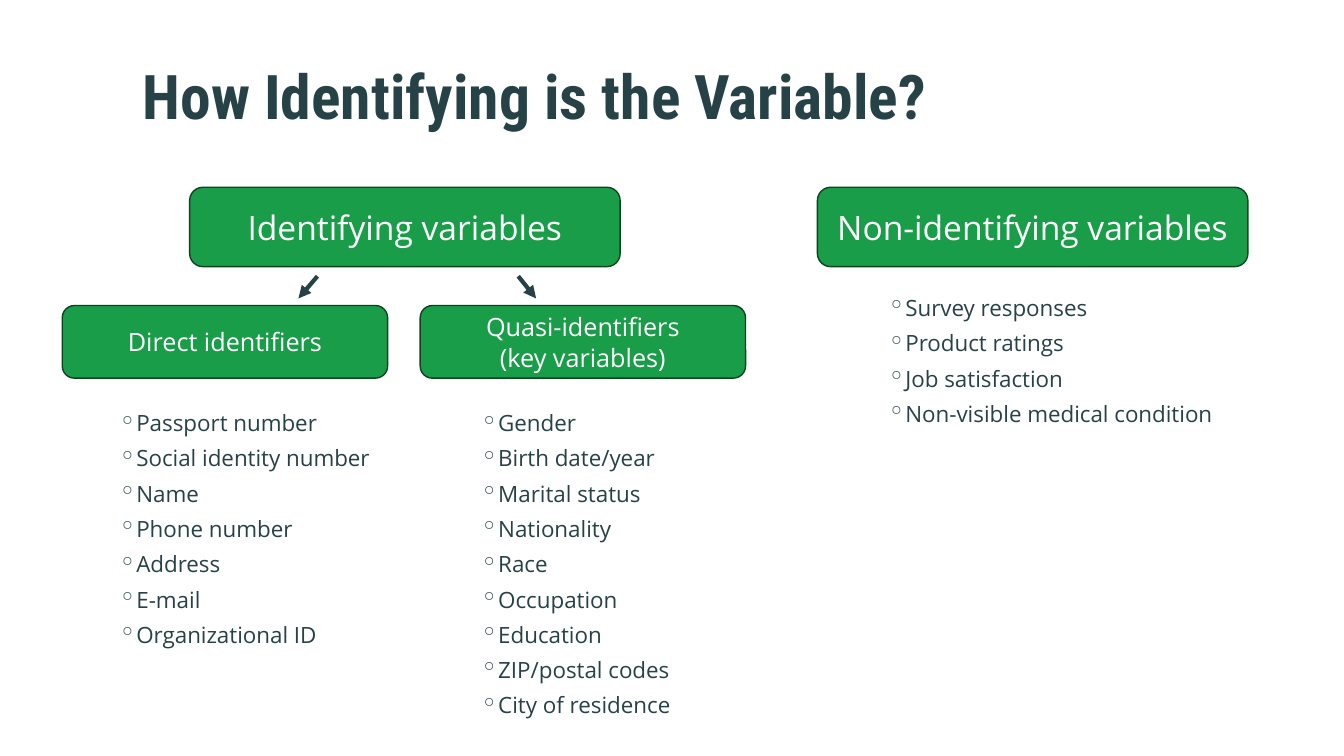
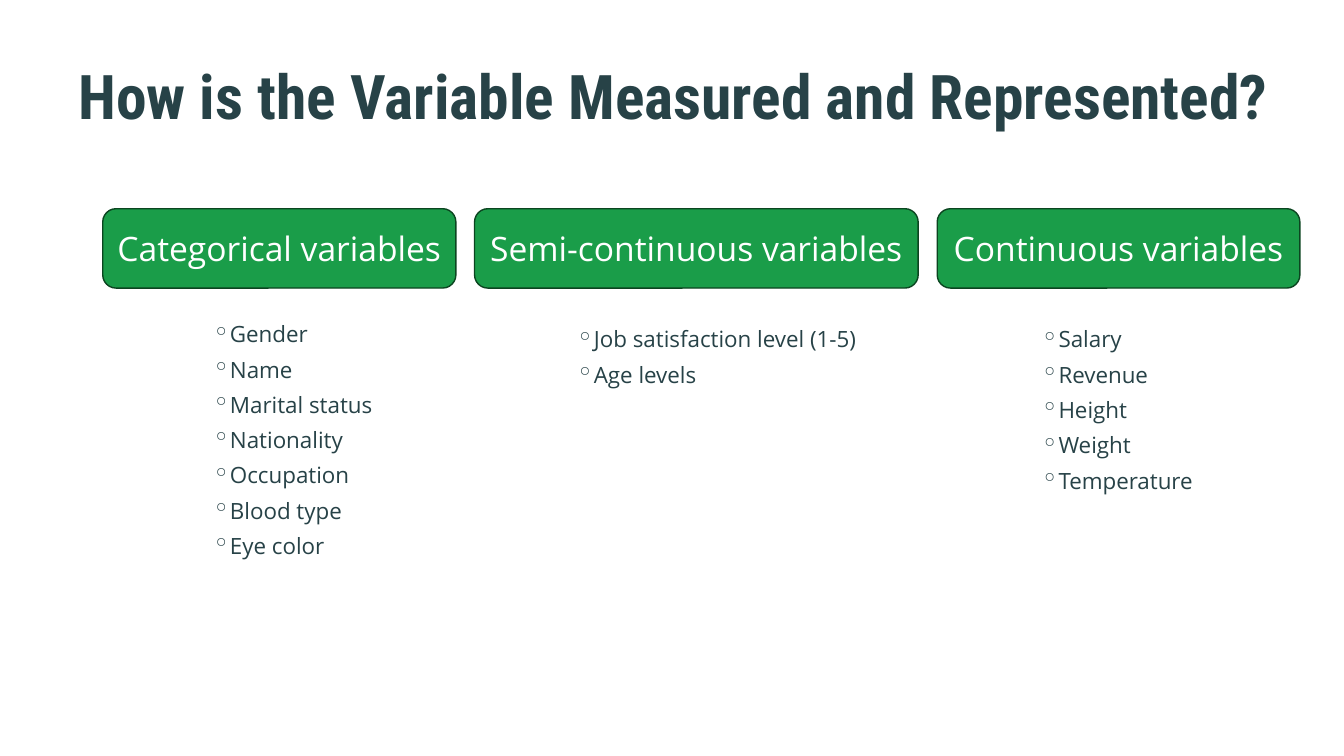
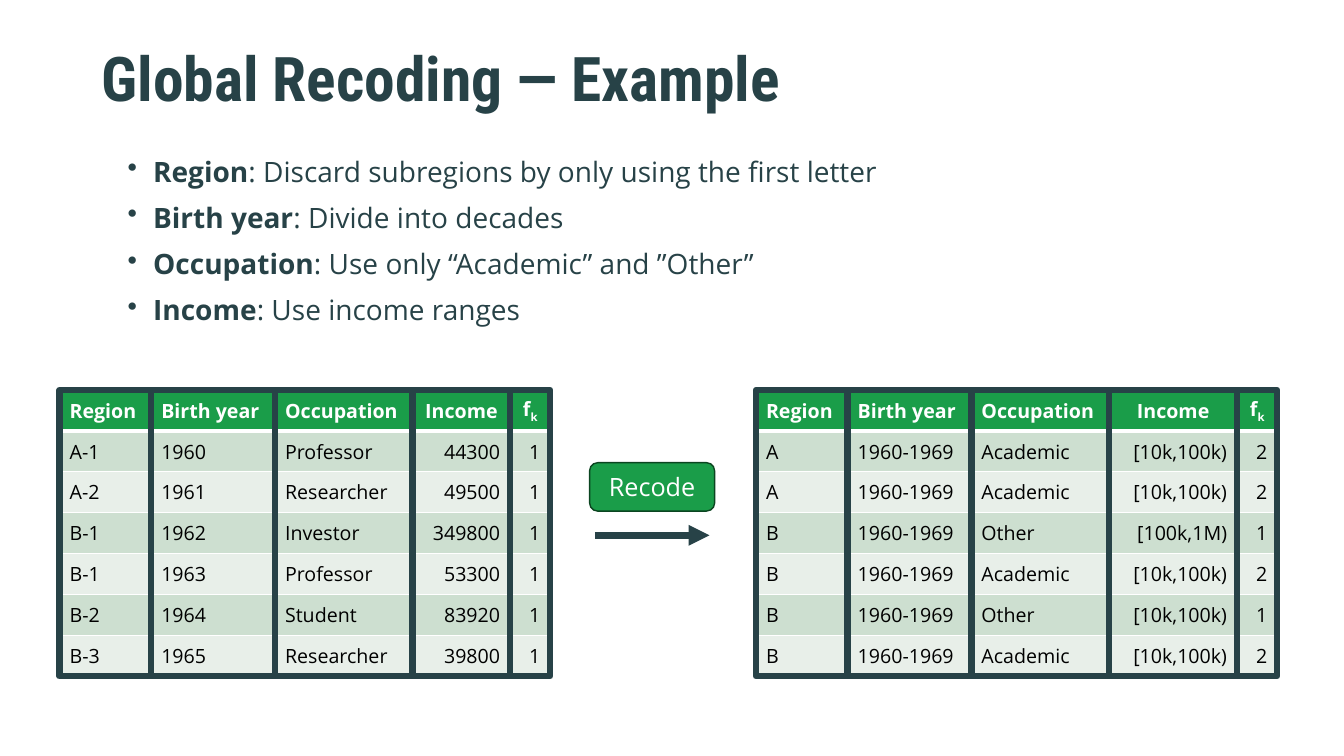
"""Build three slides on classifying variables and on global recoding."""
from dataclasses import dataclass
from lxml.etree import SubElement
from pptx import Presentation
from pptx.dml.color import RGBColor
from pptx.enum.shapes import MSO_CONNECTOR, MSO_SHAPE
from pptx.enum.text import MSO_ANCHOR, PP_ALIGN
from pptx.oxml.ns import qn
from pptx.util import Cm, Pt


@dataclass(frozen=True)
class Theme:
    ink: str = "274247"
    green: str = "1A9D49"
    edge: str = "0B4520"
    white: str = "FFFFFF"
    black: str = "000000"
    bands: tuple = ("E8EFE9", "CDDFD0")
    head_font: str = "Roboto Condensed"
    body_font: str = "Open Sans"
    title: int = 44
    heading: int = 24
    body: int = 20
    label: int = 18
    item: int = 16
    cell: int = 14


T = Theme()
TITLE = {"line_spacing": 0.9}
CENTER = {"alignment": PP_ALIGN.CENTER}
ITEM = {"space_after": Pt(6), "level": 1}
POINT = {"space_after": Pt(9)}
TITLE_FRAME = {"vertical_anchor": MSO_ANCHOR.MIDDLE, "margin_top": 0}


def write(tf, paras, size, color, para_fmt, bullet=None, name=T.body_font, bold=False):
    for i, runs in enumerate(paras):
        p = tf.paragraphs[0] if i == 0 else tf.add_paragraph()
        if bullet:
            char, left, hang = bullet
            pPr = p._p.get_or_add_pPr()
            pPr.set("marL", str(Cm(left)))
            pPr.set("indent", str(-Cm(hang)))
            SubElement(pPr, qn("a:buChar"), char=char)
        for key, value in para_fmt.items():
            setattr(p, key, value)
        for text, strong in [(runs, bold)] if isinstance(runs, str) else runs:
            r = p.add_run()
            r.text = text
            for key, value in {"name": name, "size": Pt(size), "bold": strong}.items():
                setattr(r.font, key, value)
            r.font.color.rgb = RGBColor.from_string(color)


def add_arrow(s, start, end, width):
    c = s.shapes.add_connector(MSO_CONNECTOR.STRAIGHT, *map(Cm, start + end))
    c.line.width = Pt(width)
    c.line.color.rgb = RGBColor.from_string(T.ink)
    spPr = c._element.spPr
    SubElement(spPr.find(qn("a:ln")), qn("a:tailEnd"), type="triangle")
    SubElement(spPr, qn("a:effectLst"))


prs = Presentation()
prs.slide_width, prs.slide_height = Cm(33.87), Cm(19.05)

titles = [
    ("How Identifying is the Variable?", (3.35, 0.76, 26.82, 3.63)),
    ("How is the Variable Measured and Represented?", (1.73, 0.76, 31.39, 3.63)),
    ("Global Recoding — Example", (2.31, 1.04, 27.58, 2.18)),
]
slides = []
for title, at in titles:
    s = prs.slides.add_slide(prs.slide_layouts[6])
    tf = s.shapes.add_textbox(*map(Cm, at)).text_frame
    tf.word_wrap = True
    for key, value in TITLE_FRAME.items():
        setattr(tf, key, value)
    write(tf, [title], T.title, T.ink, TITLE, name=T.head_font, bold=True)
    slides.append(s)
identifying, measured, recoding = slides

boxes = [
    (identifying, ["Identifying variables"], (4.78, 4.72, 10.85, 2), T.heading),
    (identifying, ["Non-identifying variables"], (20.6, 4.72, 10.85, 2), T.heading),
    (identifying, ["Direct identifiers"], (1.57, 7.7, 8.2, 1.83), T.label),
    (identifying, ["Quasi-identifiers", "(key variables)"], (10.59, 7.7, 8.2, 1.83), T.label),
    (measured, ["Categorical variables"], (2.59, 5.26, 8.9, 2), T.heading),
    (measured, ["Semi-continuous variables"], (11.96, 5.26, 11.18, 2), T.heading),
    (measured, ["Continuous variables"], (23.62, 5.26, 9.14, 2), T.heading),
    (recoding, ["Recode"], (14.86, 11.66, 3.15, 1.22), T.label),
]
for s, paras, at, size in boxes:
    sp = s.shapes.add_shape(MSO_SHAPE.ROUNDED_RECTANGLE, *map(Cm, at))
    sp.shadow.inherit = False
    sp.fill.solid()
    sp.fill.fore_color.rgb = RGBColor.from_string(T.green)
    sp.line.color.rgb = RGBColor.from_string(T.edge)
    sp.line.width = Pt(1)
    tf = sp.text_frame
    tf.word_wrap = True
    tf.vertical_anchor = MSO_ANCHOR.MIDDLE
    write(tf, paras, size, T.white, CENTER)

lists = [
    (identifying, (2.06, 10.19, 7.72, 7.39), [
        "Passport number", "Social identity number", "Name", "Phone number",
        "Address", "E-mail", "Organizational ID"]),
    (identifying, (11.18, 10.19, 7.06, 8.8), [
        "Gender", "Birth date/year", "Marital status", "Nationality", "Race",
        "Occupation", "Education", "ZIP/postal codes", "City of residence"]),
    (identifying, (21.44, 7.29, 9.55, 3.48), [
        "Survey responses", "Product ratings", "Job satisfaction",
        "Non-visible medical condition"]),
    (measured, (4.42, 7.95, 5.23, 6.1), [
        "Gender", "Name", "Marital status", "Nationality", "Occupation",
        "Blood type", "Eye color"]),
    (measured, (13.59, 8.08, 8.43, 6.1), ["Job satisfaction level (1-5)", "Age levels"]),
    (measured, (25.3, 8.08, 5.23, 6.1), [
        "Salary", "Revenue", "Height", "Weight", "Temperature"]),
]
for s, at, items in lists:
    tf = s.shapes.add_textbox(*map(Cm, at)).text_frame
    tf.word_wrap = True
    write(tf, items, T.item, T.ink, ITEM, bullet=("◦", 1.09, 0.41))

rules = [
    ("Region", ": Discard subregions by only using the first letter"),
    ("Birth year", ": Divide into decades"),
    ("Occupation", ": Use only “Academic” and ”Other”"),
    ("Income", ": Use income ranges"),
]
tf = recoding.shapes.add_textbox(Cm(2.97), Cm(3.76), Cm(28.45), Cm(5.77)).text_frame
tf.word_wrap = True
write(tf, [[(lead, True), (rest, False)] for lead, rest in rules],
      T.body, T.ink, POINT, bullet=("•", 0.64, 0.64))

add_arrow(identifying, (8, 6.96), (7.52, 7.52), 3)
add_arrow(identifying, (13.06, 6.96), (13.51, 7.52), 3)
add_arrow(recoding, (14.99, 13.49), (17.88, 13.49), 5)

header = ["Region", "Birth year", "Occupation", "Income", [("f", True), ("k", True)]]
head_aligns = [PP_ALIGN.LEFT] * 3 + [PP_ALIGN.CENTER] * 2
aligns = [PP_ALIGN.LEFT] * 3 + [PP_ALIGN.RIGHT] * 2
top, row_height = 9.83, 1.03
tables = [
    (1.5, 2.46, [
        ("A-1", "1960", "Professor", "44300", "1"),
        ("A-2", "1961", "Researcher", "49500", "1"),
        ("B-1", "1962", "Investor", "349800", "1"),
        ("B-1", "1963", "Professor", "53300", "1"),
        ("B-2", "1964", "Student", "83920", "1"),
        ("B-3", "1965", "Researcher", "39800", "1")]),
    (19.05, 3.23, [
        ("A", "1960-1969", "Academic", "[10k,100k)", "2"),
        ("A", "1960-1969", "Academic", "[10k,100k)", "2"),
        ("B", "1960-1969", "Other", "[100k,1M)", "1"),
        ("B", "1960-1969", "Academic", "[10k,100k)", "2"),
        ("B", "1960-1969", "Other", "[10k,100k)", "1"),
        ("B", "1960-1969", "Academic", "[10k,100k)", "2")]),
]
for left, income_width, records in tables:
    widths = [2.31, 3.12, 3.47, income_width, 1.01]
    rows = [header] + records
    height = row_height * len(rows)
    tbl = recoding.shapes.add_table(
        len(rows), len(widths), Cm(left), Cm(top), Cm(sum(widths)), Cm(height)).table
    for row in tbl.rows:
        row.height = Cm(row_height)
    for i, row in enumerate(rows):
        for j, value in enumerate(row):
            cell = tbl.cell(i, j)
            cell.vertical_anchor = MSO_ANCHOR.MIDDLE
            tcPr = cell._tc.get_or_add_tcPr()
            for side in "LRTB":
                thick = (i, side) in [(0, "B"), (1, "T")]
                ln = SubElement(tcPr, qn(f"a:ln{side}"), w=str(Pt(3 if thick else 1)))
                SubElement(SubElement(ln, qn("a:solidFill")), qn("a:srgbClr"), val=T.white)
            cell.fill.solid()
            cell.fill.fore_color.rgb = RGBColor.from_string(T.bands[i % 2] if i else T.green)
            write(cell.text_frame, [value], T.cell, T.black if i else T.white,
                  {"alignment": (aligns if i else head_aligns)[j]}, bold=i == 0)
    subscript = tbl.cell(0, 4).text_frame.paragraphs[0].runs[1]
    subscript._r.get_or_add_rPr().set("baseline", "-25000")
    for j, width in enumerate(widths):
        tbl.columns[j].width = Cm(width)
        sp = recoding.shapes.add_shape(
            MSO_SHAPE.RECTANGLE, Cm(left + sum(widths[:j])), Cm(top), Cm(width), Cm(height))
        sp.shadow.inherit = False
        sp.fill.background()
        sp.line.color.rgb = RGBColor.from_string(T.ink)
        sp.line.width = Pt(4.5)

prs.save("out.pptx")
